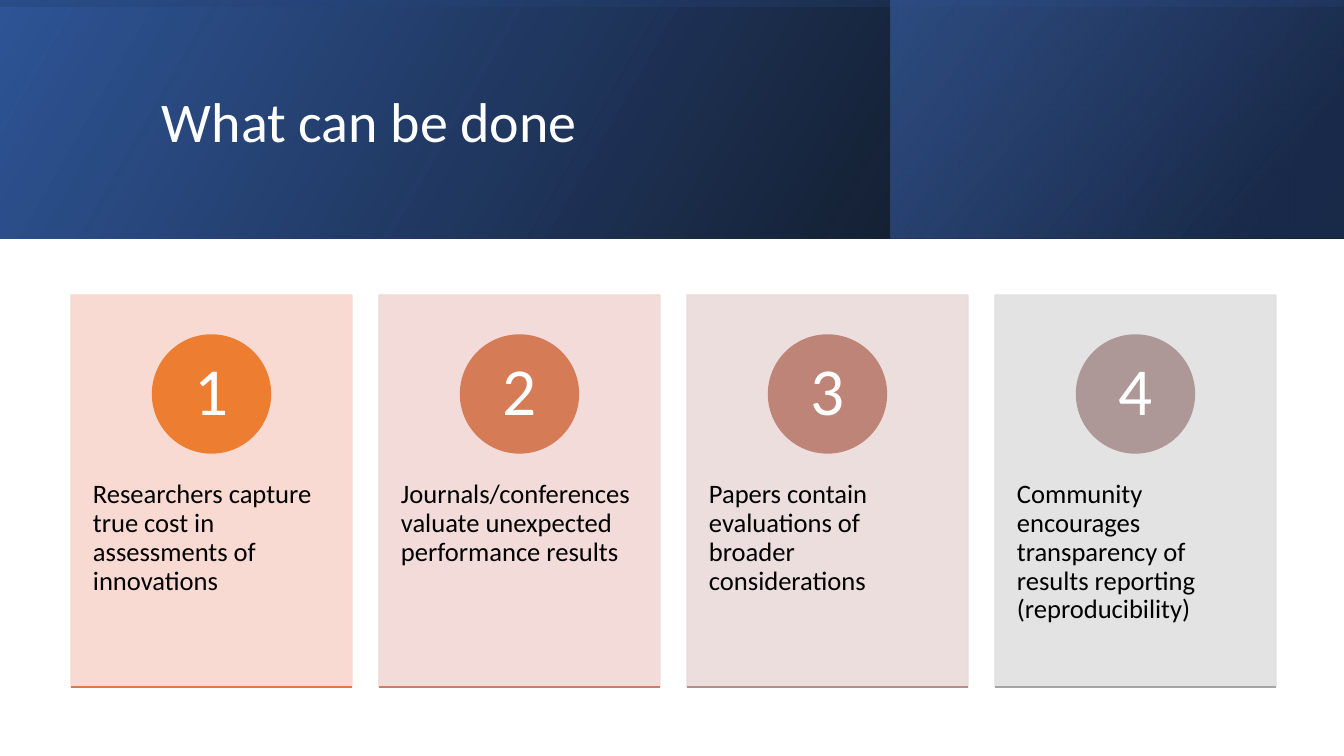
"""Build the slide 'What can be done' with a gradient header and four numbered cards."""
from lxml.etree import SubElement
from pptx import Presentation
from pptx.dml.color import RGBColor
from pptx.enum.shapes import MSO_CONNECTOR, MSO_SHAPE
from pptx.enum.text import MSO_ANCHOR, MSO_AUTO_SIZE, PP_ALIGN
from pptx.oxml import parse_xml
from pptx.oxml.ns import nsdecls, qn
from pptx.util import Emu, Pt

TITLE = "What can be done"
CARDS = [
    ("Researchers capture true cost in assessments of innovations", "peach", "orange", "rust"),
    ("Journals/conferences valuate unexpected performance results", "pink", "coral", "clay"),
    ("Papers contain evaluations of broader considerations", "blush", "rose", "dusk"),
    ("Community encourages transparency of results reporting (reproducibility)",
     "mist", "mauve", "gray"),
]
COLORS = {
    "black": "000000", "white": "FFFFFF",
    "blue": "2F5597", "navy": "203864", "sky": "4472C4",
    "peach": "F8D7CE", "orange": "ED7D31", "rust": "E07A44",
    "pink": "F1D8D4", "coral": "D57B56", "clay": "CA7E67",
    "blush": "E9DBDA", "rose": "BF8478", "dusk": "B68D88",
    "mist": "E1E1E1", "mauve": "AD9897", "gray": "A5A5A5",
}
WIDE, HIGH, HEAD, SIDE = 1344, 756, 239, 891
BANDS = [
    ((0, 0, WIDE, HEAD), 0, 330, [(0, "black", 96), (100, "blue", 100)]),
    ((SIDE, 0, WIDE - SIDE, HEAD), 0, 320, [(19, "navy", 68), (100, "sky", 48)]),
    (((WIDE - HEAD) // 2, (HEAD - WIDE) // 2, HEAD, WIDE), 270, 350,
     [(23, "blue", 16), (99, "black", 45)]),
]
LEFT, TOP, PITCH, CARD_W, CARD_H = 71, 295, 308, 281, 392
DISC, DISC_TOP, TEXT_TOP, TEXT_H = 118, 335, 445, 235
TITLE_FONT = {"name": "Calibri", "size": Pt(40)}
NUM_FONT = {"name": "Calibri", "size": Pt(48)}
BODY_FONT = {"name": "Calibri", "size": Pt(19)}
SCALE = 914400 / 100.8


def px(num):
    return Emu(round(num * SCALE))


def tint(name):
    return RGBColor.from_string(COLORS[name])


def add_box(shapes, kind, box, fill, alpha=100):
    shape = shapes.add_shape(kind, *map(px, box))
    shape.shadow.inherit = False
    shape.fill.solid()
    shape.fill.fore_color.rgb = tint(fill)
    shape.line.color.rgb = tint(fill)
    shape.line.width = Pt(1)
    if alpha < 100:
        for node in shape.element.spPr.iter(qn("a:srgbClr")):
            SubElement(node, qn("a:alpha")).set("val", str(alpha * 1000))
    return shape


def add_band(shapes, box, turn, angle, stops):
    band = add_box(shapes, MSO_SHAPE.RECTANGLE, box, "blue")
    band.line.fill.background()
    band.rotation = turn
    props = band.element.spPr
    props.find(qn("a:xfrm")).set("flipH", "1")
    marks = "".join(
        f'<a:gs pos="{pos * 1000}"><a:srgbClr val="{COLORS[name]}">'
        f'<a:alpha val="{alpha * 1000}"/></a:srgbClr></a:gs>'
        for pos, name, alpha in stops)
    grad = parse_xml(
        f'<a:gradFill {nsdecls("a")} rotWithShape="1"><a:gsLst>{marks}</a:gsLst>'
        f'<a:lin ang="{angle * 60000}" scaled="0"/></a:gradFill>')
    props.replace(props.find(qn("a:solidFill")), grad)


def write(shape, text, font, color, align, anchor, pad):
    frame = shape.text_frame
    frame.text = text
    across, down = map(px, pad)
    look = {"word_wrap": True, "auto_size": MSO_AUTO_SIZE.NONE, "vertical_anchor": anchor,
            "margin_left": across, "margin_right": across,
            "margin_top": down, "margin_bottom": down}
    para = frame.paragraphs[0]
    lines = {"alignment": align, "line_spacing": 0.9}
    for part, values in ((frame, look), (para, lines), (para.runs[0].font, font)):
        for key, value in values.items():
            setattr(part, key, value)
    para.runs[0].font.color.rgb = tint(color)


def add_card(shapes, index, text, back, disc, rule):
    left = LEFT + index * PITCH
    add_box(shapes, MSO_SHAPE.RECTANGLE, (left, TOP, CARD_W, CARD_H), back, 90)
    body = shapes.add_textbox(*map(px, (left, TEXT_TOP, CARD_W, TEXT_H)))
    write(body, text, BODY_FONT, "black", PP_ALIGN.LEFT, MSO_ANCHOR.TOP, (22, 36))
    spot = (left + (CARD_W - DISC) / 2, DISC_TOP, DISC, DISC)
    badge = add_box(shapes, MSO_SHAPE.OVAL, spot, disc)
    write(badge, str(index + 1), NUM_FONT, "white", PP_ALIGN.CENTER, MSO_ANCHOR.MIDDLE, (9, 1))
    base = TOP + CARD_H
    line = shapes.add_connector(
        MSO_CONNECTOR.STRAIGHT, *map(px, (left, base, left + CARD_W, base)))
    line.line.color.rgb = tint(rule)
    line.line.width = Pt(1)
    SubElement(line.element.spPr, qn("a:effectLst"))


def main():
    deck = Presentation()
    deck.slide_width, deck.slide_height = px(WIDE), px(HIGH)
    shapes = deck.slides.add_slide(deck.slide_layouts[5]).shapes
    title = shapes.title
    for band in BANDS:
        add_band(shapes, *band)
    shapes.element.append(title.element)
    title.left, title.top, title.width, title.height = map(px, (152, 38, 1072, 173))
    write(title, TITLE, TITLE_FONT, "white", PP_ALIGN.LEFT, MSO_ANCHOR.MIDDLE, (10, 5))
    for index, card in enumerate(CARDS):
        add_card(shapes, index, *card)
    deck.save("out.pptx")


if __name__ == "__main__":
    main()
